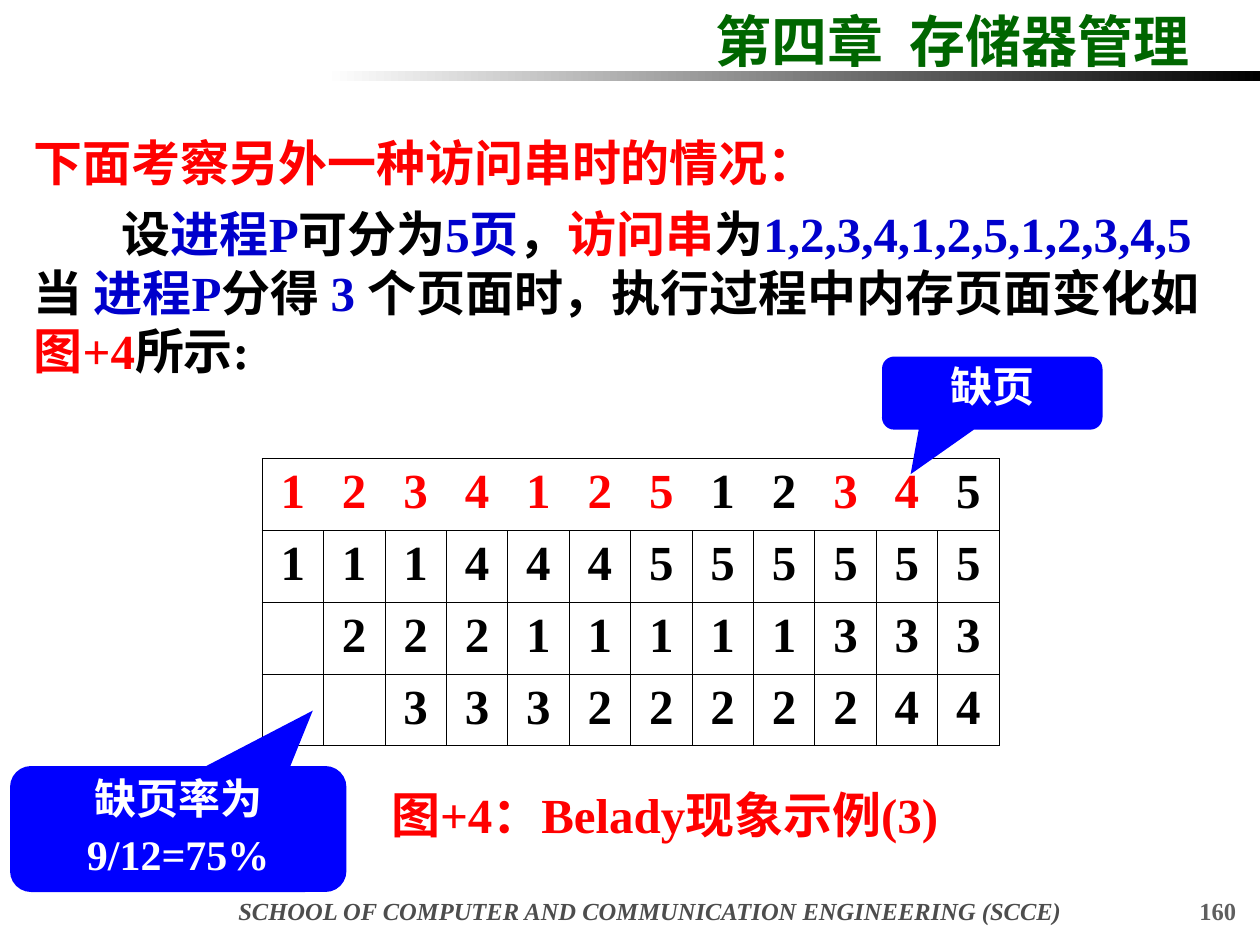
from lxml import etree
from pptx import Presentation, util as u
from pptx.dml.color import RGBColor
from pptx.enum import shapes as sh, text as tx
from pptx.oxml.ns import qn

W, H = 10, 7.5
FONT = "Times New Roman"
HUES = dict(green="006600", red="FF0000", blue="0000CC", fill="0000FF", black="000000",
            white="FFFFFF", dark="4D4D4D", gray="5F5F5F")
LEFT, MID, RIGHT = tx.PP_ALIGN.LEFT, tx.PP_ALIGN.CENTER, tx.PP_ALIGN.RIGHT

# Content: a paragraph is a list of (words, colour) runs
TITLE = [[("第四章  存储器管理", "green")]]
BODY = [
    [("下面考察另外一种访问串时的情况：", "red")],
    [("设", "black"), ("进程P", "blue"), ("可分为", "black"), ("5页", "blue"),
     ("，", "black"), ("访问串", "red"), ("为", "black"),
     ("1,2,3,4,1,2,5,1,2,3,4,5", "blue"), ("当 ", "black"), ("进程P", "blue"),
     ("分得 ", "black"), ("3 ", "blue"),
     ("个页面时，执行过程中内存页面变化如", "black"), ("图+4", "red"), ("所示:", "black")],
]
PAGES = ["123412512345", "111444555555", " 22211111333", "  3332222244"]
HITS = (7, 8, 11)  # columns without a page fault
CAPTION = [[("图+4：Belady现象示例(3)", "red")]]
SCHOOL = [[("SCHOOL OF COMPUTER AND COMMUNICATION ENGINEERING (SCCE)", "dark")]]
NUMBER = [[("160", "gray")]]
CALLS = [  # place, tip of the tail, lines
    ((7, 2.83, 1.75, 0.58), (-0.37, 1.11), ["缺页"]),
    ((0.08, 6.08, 2.67, 1), (0.4, -0.94), ["缺页率为", "9/12=75%"]),
]


def hue(name):
    return RGBColor.from_string(HUES[name])


def write(frame, paras, size, align=LEFT, gap=0, lead=None, slant=False):
    frame.vertical_anchor = tx.MSO_ANCHOR.TOP
    for i, runs in enumerate(paras):
        para = frame.add_paragraph() if i else frame.paragraphs[0]
        para.alignment = align
        para.space_before = u.Pt(gap if i else 0)
        if lead:
            para.line_spacing = lead
        for words, tint in runs:
            run = para.add_run()
            run.text = words
            font = run.font
            font.name, font.size, font.bold, font.italic = FONT, u.Pt(size), True, slant
            font.color.rgb = hue(tint)


def place(box):
    return [u.Inches(v) for v in box]


def add_text(box, paras, size, wrap=True, **style):
    frame = slide.shapes.add_textbox(*place(box)).text_frame
    frame.word_wrap = wrap
    write(frame, paras, size, **style)
    return frame


def edge(cell, side, show):
    line = etree.SubElement(cell._tc.get_or_add_tcPr(), qn("a:ln" + side), w="5715")
    if show:
        fill = etree.SubElement(line, qn("a:solidFill"))
        etree.SubElement(fill, qn("a:srgbClr"), val=HUES["black"])
    else:
        etree.SubElement(line, qn("a:noFill"))


deck = Presentation()
deck.slide_width, deck.slide_height = u.Inches(W), u.Inches(H)
slide = deck.slides.add_slide(deck.slide_layouts[5])

# Chapter title and the fading rule under it
title = slide.shapes.title
title.left, title.top, title.width, title.height = place((5.58, 0, 4.42, 0.64))
title.text_frame.auto_size = tx.MSO_AUTO_SIZE.NONE
write(title.text_frame, TITLE, 32)

rule = slide.shapes.add_shape(sh.MSO_SHAPE.RECTANGLE, *place((2.58, 0.56, 7.42, 0.08)))
rule.shadow.inherit = False
rule.line.fill.background()
rule.fill.gradient()
rule.fill.gradient_angle = 0
for stop, tint, at in zip(rule.fill.gradient_stops, ("white", "black"), (0, 1)):
    stop.color.rgb = hue(tint)
    stop.position = at

# Footer
add_text((1.54, 7.06, 7.24, 0.28), SCHOOL, 14, align=MID, slant=True)
add_text((7.83, 7.06, 2.08, 0.28), NUMBER, 14, align=RIGHT)

# Body, with the second paragraph indented
body = add_text((0.17, 1, 9.67, 2.2), BODY, 28, gap=7)
body.paragraphs[1]._p.get_or_add_pPr().set("indent", str(u.Inches(0.7)))

# Page table: the top row has no inner verticals
rows, cols = len(PAGES), len(PAGES[0])
grid = slide.shapes.add_table(rows, cols, *place((2.08, 3.64, 5.85, 2.28))).table
grid.first_row = grid.horz_banding = False
for r, line in enumerate(PAGES):
    for c, page in enumerate(line):
        cell = grid.cell(r, c)
        edge(cell, "L", r > 0 or c == 0)
        edge(cell, "R", r > 0 or c == cols - 1)
        edge(cell, "T", True)
        edge(cell, "B", True)
        cell.fill.background()
        if page != " ":
            tint = "red" if r == 0 and c not in HITS else "black"
            write(cell.text_frame, [[(page, tint)]], 28, align=MID)

add_text((2.77, 6.23, 5.01, 0.52), CAPTION, 28, wrap=False, align=MID, lead=0.9)

# Callouts
for box, tip, lines in CALLS:
    call = slide.shapes.add_shape(sh.MSO_SHAPE.ROUNDED_RECTANGULAR_CALLOUT, *place(box))
    call.adjustments[0], call.adjustments[1] = tip
    call.shadow.inherit = False
    call.fill.solid()
    call.fill.fore_color.rgb = hue("fill")
    call.line.fill.background()
    write(call.text_frame, [[(words, "white")] for words in lines], 24,
          align=MID, gap=6, lead=0.9)

deck.save("out.pptx")
